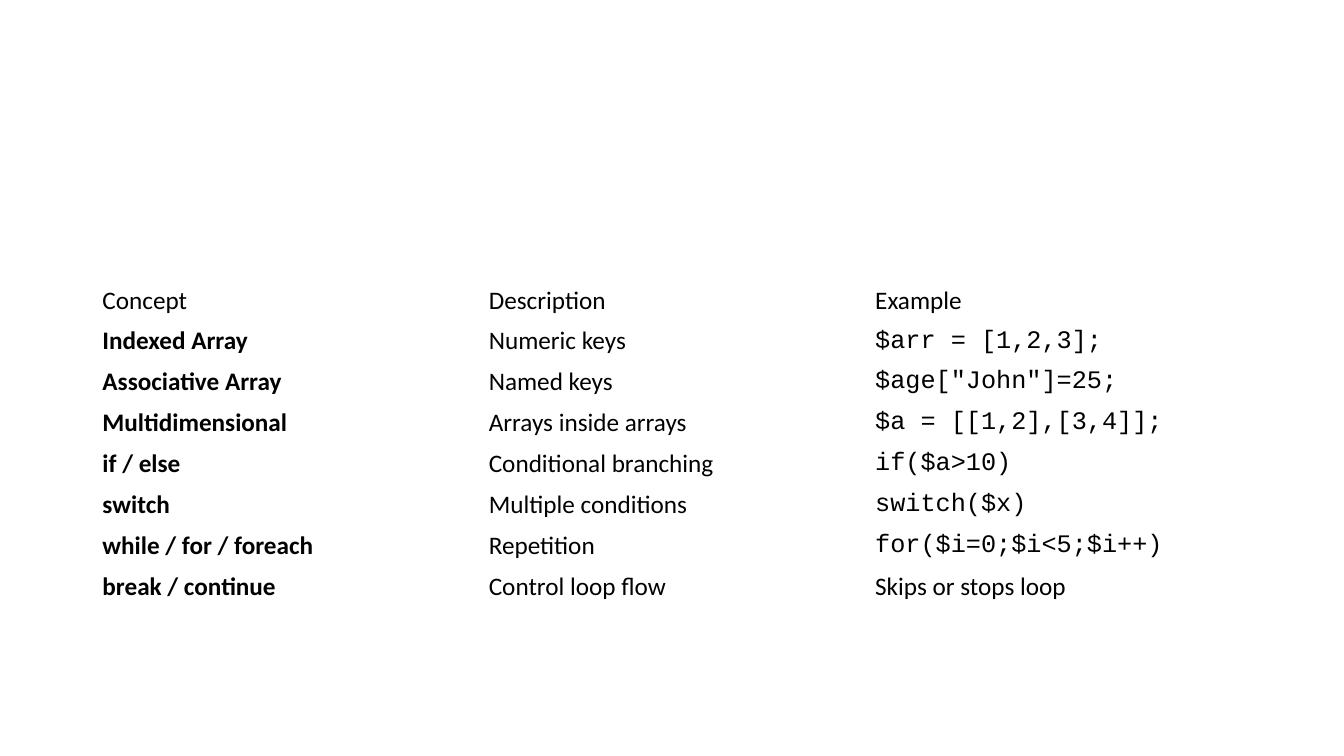
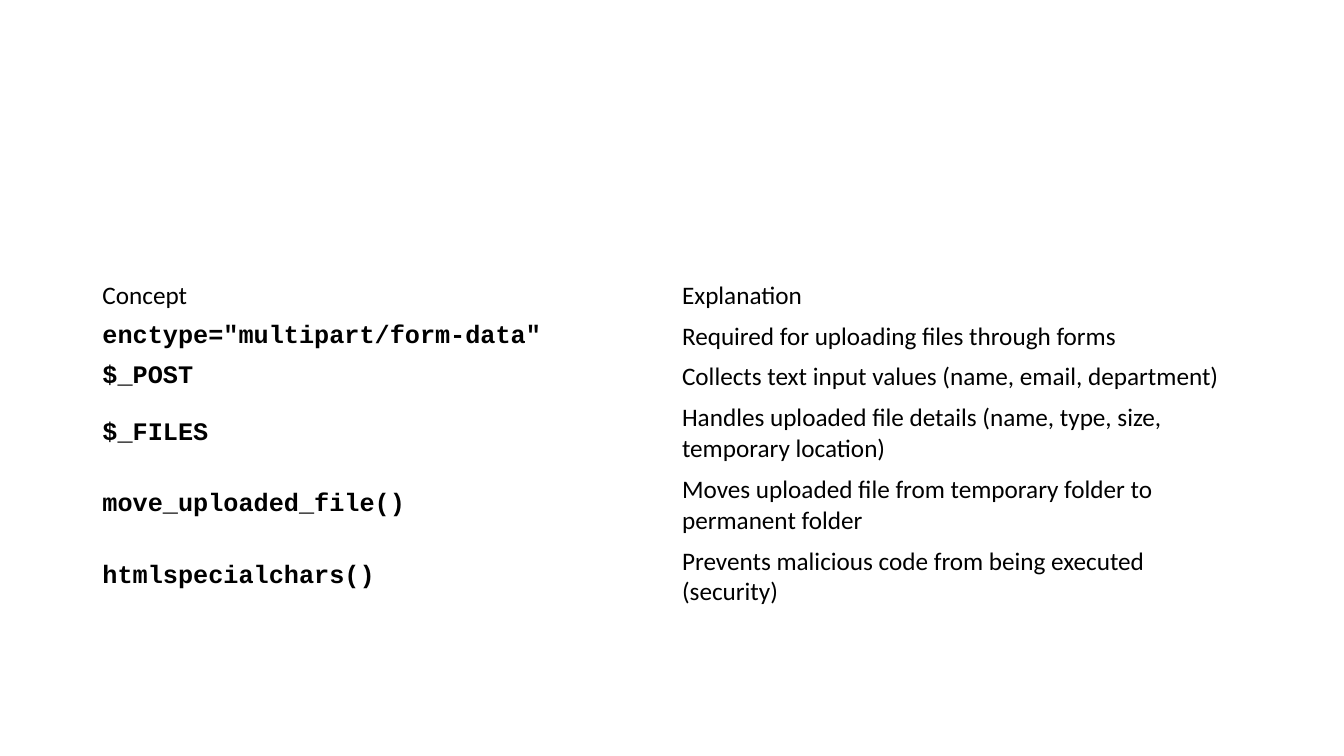
import pptx
import pptx.dml.color
import pptx.enum.text
import pptx.util

Pt = pptx.util.Pt

theme = {
    "text": pptx.dml.color.RGBColor(0, 0, 0),
    "size": Pt(18),
    "styles": {
        "plain": ("Calibri", False),
        "strong": ("Calibri", True),
        "code": ("Courier New", False),
        "strong code": ("Courier New", True),
    },
    "margin": 66,
    "one line": 29.2,
    "two lines": 51.1,
}

summaries = [
    {
        "top": 200,
        "header": ["Concept", "Description", "Example"],
        "columns": ["strong", "plain", "code"],
        "exceptions": {"Skips or stops loop": "plain"},
        "rows": [
            ["Indexed Array", "Numeric keys", "$arr = [1,2,3];"],
            ["Associative Array", "Named keys", '$age["John"]=25;'],
            ["Multidimensional", "Arrays inside arrays", "$a = [[1,2],[3,4]];"],
            ["if / else", "Conditional branching", "if($a>10)"],
            ["switch", "Multiple conditions", "switch($x)"],
            ["while / for / foreach", "Repetition", "for($i=0;$i<5;$i++)"],
            ["break / continue", "Control loop flow", "Skips or stops loop"],
        ],
        "tall rows": [],
    },
    {
        "top": 196.5,
        "header": ["Concept", "Explanation"],
        "columns": ["strong code", "plain"],
        "exceptions": {},
        "rows": [
            ['enctype="multipart/form-data"', "Required for uploading files through forms"],
            ["$_POST", "Collects text input values (name, email, department)"],
            ["$_FILES", "Handles uploaded file details (name, type, size, temporary location)"],
            ["move_uploaded_file()", "Moves uploaded file from temporary folder to permanent folder"],
            ["htmlspecialchars()", "Prevents malicious code from being executed (security)"],
        ],
        "tall rows": [3, 4, 5],
    },
]

deck = pptx.Presentation()
deck.slide_width = Pt(960)
deck.slide_height = Pt(540)
blank = deck.slide_layouts[6]

for summary in summaries:
    slide = deck.slides.add_slide(blank)
    lines = [summary["header"]] + summary["rows"]
    heights = [
        theme["two lines" if index in summary["tall rows"] else "one line"]
        for index in range(len(lines))
    ]
    table = slide.shapes.add_table(
        len(lines),
        len(summary["header"]),
        Pt(theme["margin"]),
        Pt(summary["top"]),
        Pt(960 - 2 * theme["margin"]),
        Pt(sum(heights)),
    ).table
    table.first_row = False
    table.horz_banding = False

    for row_index, texts in enumerate(lines):
        table.rows[row_index].height = Pt(heights[row_index])
        for column_index, text in enumerate(texts):
            style = "plain"
            if row_index > 0:
                style = summary["exceptions"].get(text, summary["columns"][column_index])
            cell = table.cell(row_index, column_index)
            cell.fill.background()
            cell.vertical_anchor = pptx.enum.text.MSO_ANCHOR.MIDDLE
            cell.text = text
            font = cell.text_frame.paragraphs[0].font
            font.name, font.bold = theme["styles"][style]
            font.size = theme["size"]
            font.color.rgb = theme["text"]

deck.save("out.pptx")
